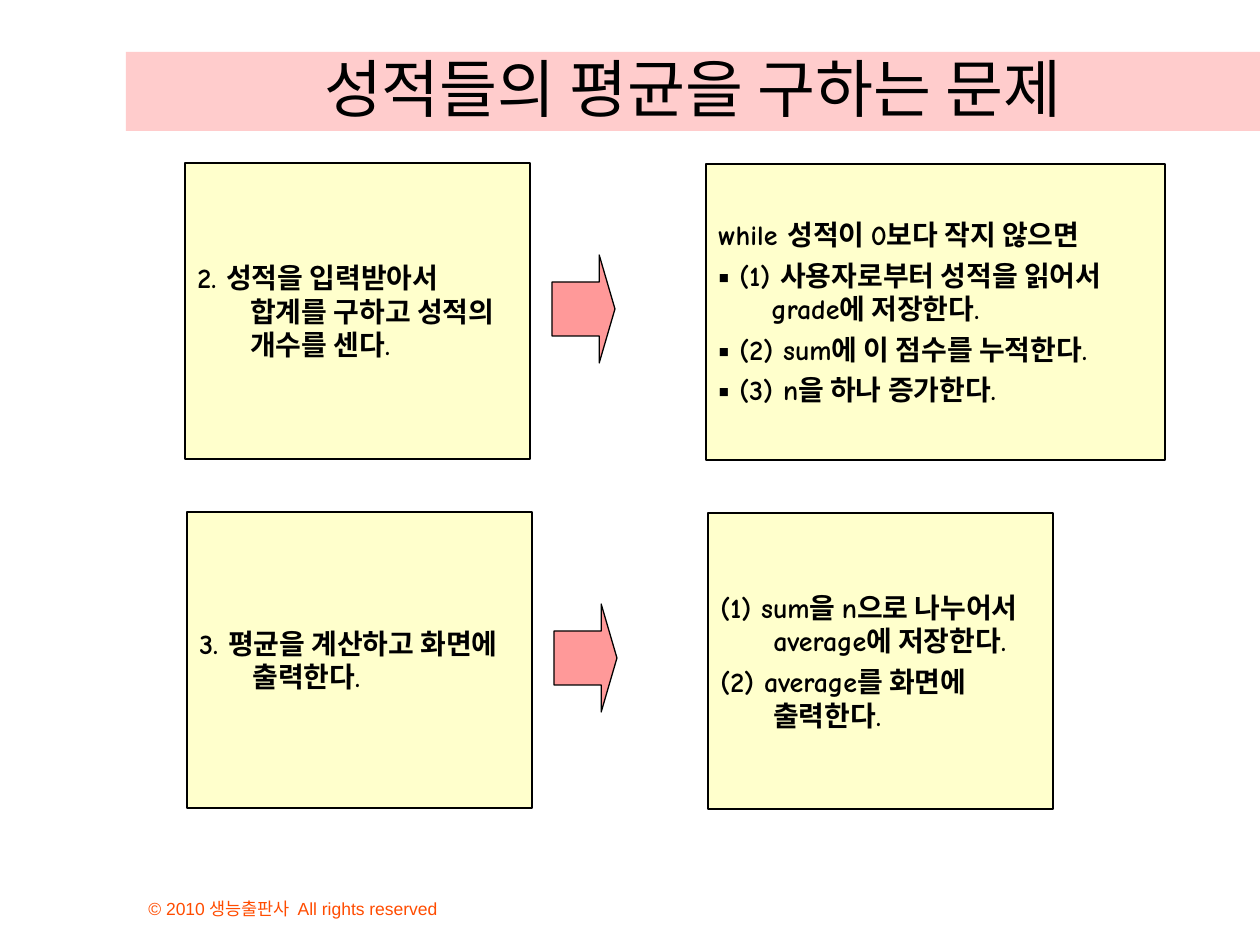
from pptx import Presentation
from pptx.dml.color import RGBColor as RGB
from pptx.enum.shapes import MSO_SHAPE as Kind
from pptx.enum.text import MSO_ANCHOR as Anchor, PP_ALIGN as Align
from pptx.util import Emu, Pt
from collections import namedtuple

Theme = namedtuple("Theme", "ink band card arrow note font plain head body small")
theme = Theme(
    ink=RGB.from_string("000000"), band=RGB.from_string("FFCCCC"),
    card=RGB.from_string("FFFFCC"), arrow=RGB.from_string("FF9999"),
    note=RGB.from_string("FF4C00"), font="Comic Neue", plain="Arial",
    head=Pt(36), body=Pt(16), small=Pt(10))


def px(num):
    return Emu(num * 914400 // 126)


def write(shape, lines, size, font, color, anchor, align=Align.LEFT, bold=False, hang=0):
    frame = shape.text_frame
    frame.word_wrap = True
    frame.vertical_anchor = anchor
    for i, line in enumerate(lines):
        para = frame.paragraphs[0] if i == 0 else frame.add_paragraph()
        para.text = line
        para.alignment = align
        if i:
            para.space_before = Pt(4)
        if hang:
            props = para._p.get_or_add_pPr()
            props.set("marL", str(px(hang)))
            props.set("indent", str(-px(hang)))
        for run in para.runs:
            run.font.size = size
            run.font.name = font
            run.font.bold = bold
            run.font.color.rgb = color


deck = Presentation()
deck.slide_width, deck.slide_height = px(1260), px(945)
shapes = deck.slides.add_slide(deck.slide_layouts[6]).shapes

note = shapes.add_textbox(px(136), px(872), px(483), px(53))
write(note, ["© 2010 생능출판사  All rights reserved"],
      theme.small, theme.plain, theme.note, Anchor.BOTTOM)

title = shapes.add_shape(Kind.RECTANGLE, px(126), px(52), px(1134), px(79))
title.shadow.inherit = False
title.fill.solid()
title.fill.fore_color.rgb = theme.band
title.line.fill.background()
write(title, ["성적들의 평균을 구하는 문제"],
      theme.head, theme.font, theme.ink, Anchor.BOTTOM, Align.CENTER)

rows = [
    (185, 163, 459,
     ["2. 성적을 입력받아서 합계를 구하고 성적의 개수를 센다."],
     ["while 성적이 0보다 작지 않으면",
      "▪ (1) 사용자로부터 성적을 읽어서 grade에 저장한다.",
      "▪ (2) sum에 이 점수를 누적한다.",
      "▪ (3) n을 하나 증가한다."]),
    (187, 512, 345,
     ["3. 평균을 계산하고 화면에 출력한다."],
     ["(1) sum을 n으로 나누어서 average에 저장한다.",
      "(2) average를 화면에 출력한다."]),
]
for left, top, wide, task, steps in rows:
    parts = [
        (Kind.RECTANGLE, left, top, 345, 296, theme.card, task),
        (Kind.RIGHT_ARROW, left + 367, top + 92, 63, 108, theme.arrow, []),
        (Kind.RECTANGLE, left + 521, top + 1, wide, 296, theme.card, steps),
    ]
    for kind, x, y, w, h, fill, lines in parts:
        part = shapes.add_shape(kind, px(x), px(y), px(w), px(h))
        part.shadow.inherit = False
        part.fill.solid()
        part.fill.fore_color.rgb = fill
        part.line.color.rgb = theme.ink
        part.line.width = Pt(0.75)
        if kind == Kind.RIGHT_ARROW:
            part.adjustments[0], part.adjustments[1] = 0.5, 0.25
        if lines:
            write(part, lines, theme.body, theme.font, theme.ink,
                  Anchor.MIDDLE, bold=True, hang=53)

deck.save("out.pptx")
